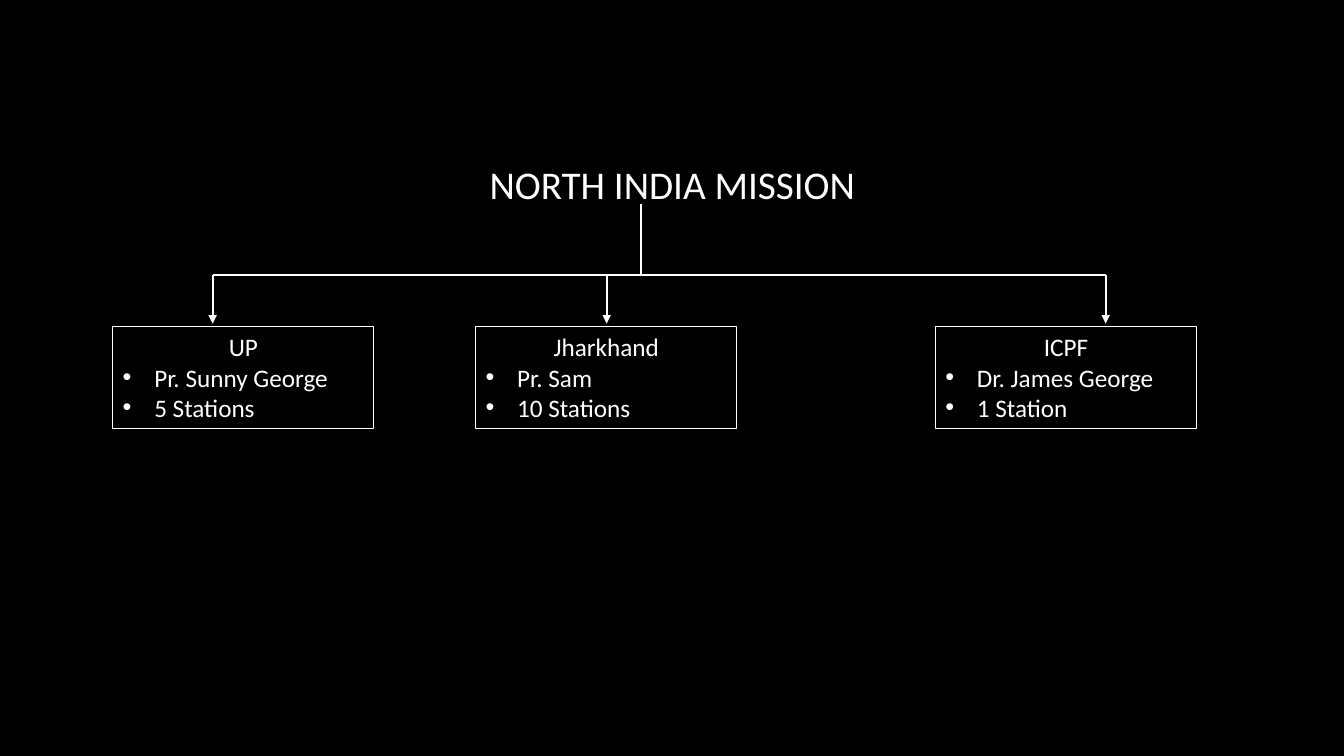
from lxml.etree import SubElement
from pptx import Presentation
from pptx.dml.color import RGBColor
from pptx.enum.shapes import MSO_CONNECTOR, MSO_SHAPE
from pptx.enum.text import MSO_ANCHOR, PP_ALIGN
from pptx.oxml.ns import qn
from pptx.util import Pt

TITLE = "NORTH INDIA MISSION"
REGIONS = [
    {"name": "UP", "facts": ["Pr. Sunny George", "5 Stations"], "left": 80.6, "arrow": 151.9},
    {"name": "Jharkhand", "facts": ["Pr. Sam", "10 Stations"], "left": 339.8, "arrow": 433.4},
    {"name": "ICPF", "facts": ["Dr. James George", "1 Station"], "left": 668.2, "arrow": 789.8},
]
COLORS = {"background": "000000", "ink": "FFFFFF"}
FONT = "Calibri"
STEM_X, STEM_TOP, BAR_Y, ARROW_END = 457.9, 145.4, 196.6, 231.1
BOX_TOP, BOX_WIDTH, BOX_HEIGHT = 233.3, 186.5, 72.7
INDENT = 22.5


def color(name):
    """Return the named colour."""
    return RGBColor.from_string(COLORS[name])


def write(para, text, size, align):
    """Fill a paragraph with styled text."""
    para.text = text
    para.alignment = align
    para.font.size = Pt(size)
    para.font.name = FONT
    para.font.color.rgb = color("ink")


def add_bullet(para):
    """Give a paragraph a hanging round bullet."""
    props = para._p.get_or_add_pPr()
    props.set("marL", str(Pt(INDENT)))
    props.set("indent", str(Pt(-INDENT)))
    SubElement(props, qn("a:buFont"), typeface="Arial")
    SubElement(props, qn("a:buChar"), char="•")


def add_line(page, x1, y1, x2, y2, arrow=False):
    """Draw a straight line, optionally ending in an arrowhead."""
    line = page.shapes.add_connector(MSO_CONNECTOR.STRAIGHT, Pt(x1), Pt(y1), Pt(x2), Pt(y2))
    line.line.color.rgb = color("ink")
    line.line.width = Pt(1.5)
    if arrow:
        SubElement(line.line._get_or_add_ln(), qn("a:tailEnd"), type="triangle")
    SubElement(line._element.spPr, qn("a:effectLst"))


def add_title(page):
    """Place the heading at the top of the chart."""
    box = page.shapes.add_textbox(Pt(66.2), Pt(114.5), Pt(828), Pt(372.2))
    box.text_frame.word_wrap = True
    para = box.text_frame.paragraphs[0]
    para.line_spacing = 0.9
    write(para, TITLE, 28, PP_ALIGN.CENTER)


def add_region(page, region):
    """Draw one region's box with its name and bulleted facts."""
    box = page.shapes.add_shape(
        MSO_SHAPE.RECTANGLE, Pt(region["left"]), Pt(BOX_TOP), Pt(BOX_WIDTH), Pt(BOX_HEIGHT)
    )
    box.shadow.inherit = False
    box.fill.background()
    box.line.color.rgb = color("ink")
    box.line.width = Pt(0.75)
    frame = box.text_frame
    frame.word_wrap = True
    frame.vertical_anchor = MSO_ANCHOR.TOP
    write(frame.paragraphs[0], region["name"], 18, PP_ALIGN.CENTER)
    for fact in region["facts"]:
        para = frame.add_paragraph()
        add_bullet(para)
        write(para, fact, 18, PP_ALIGN.JUSTIFY)


def main():
    """Build the organisation chart slide."""
    deck = Presentation()
    deck.slide_width, deck.slide_height = Pt(960), Pt(540)
    page = deck.slides.add_slide(deck.slide_layouts[6])
    page.background.fill.solid()
    page.background.fill.fore_color.rgb = color("background")
    add_title(page)
    add_line(page, STEM_X, STEM_TOP, STEM_X, BAR_Y)
    add_line(page, REGIONS[0]["arrow"], BAR_Y, REGIONS[-1]["arrow"], BAR_Y)
    for region in REGIONS:
        add_region(page, region)
        add_line(page, region["arrow"], BAR_Y, region["arrow"], ARROW_END, arrow=True)
    deck.save("out.pptx")


if __name__ == "__main__":
    main()
